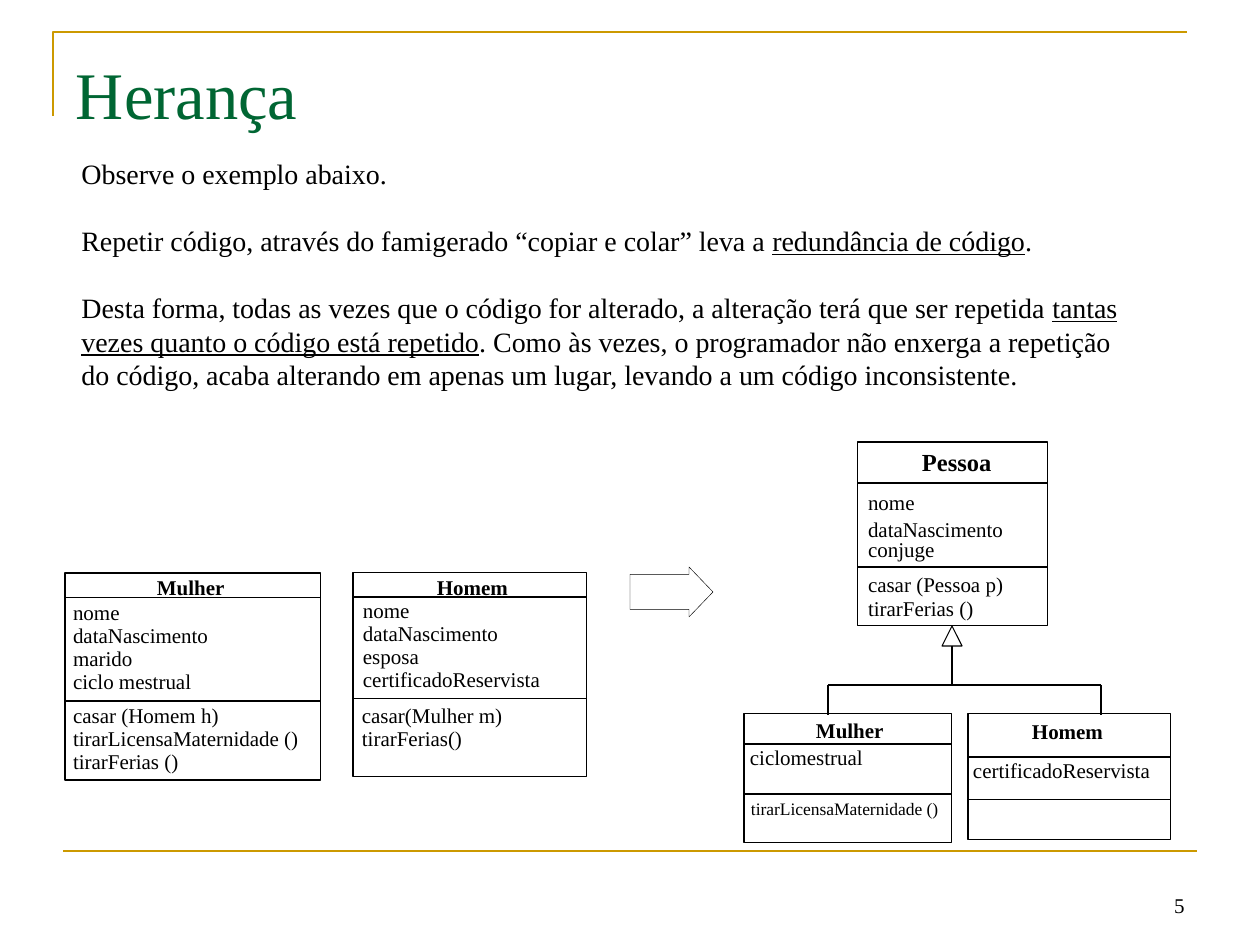
import pptx
import pptx.util
import pptx.dml.color
import pptx.enum.shapes
import pptx.enum.text
import pptx.oxml
import pptx.oxml.ns

HUES = {"ink": "000000", "gold": "CC9900", "green": "006633", "paper": "FFFFFF"}
FACE = "Times New Roman"
KIND = pptx.enum.shapes.MSO_SHAPE
ANCHOR = pptx.enum.text.MSO_ANCHOR
ALIGN = pptx.enum.text.PP_ALIGN

BODY = [
    [("Observe o exemplo abaixo.", False)],
    [("Repetir código, através do famigerado “copiar e colar” leva a ", False),
     ("redundância de código", True), (".", False)],
    [("Desta forma, todas as vezes que o código for alterado, a alteração terá "
      "que ser repetida ", False),
     ("tantas vezes quanto o código está repetido", True),
     (". Como às vezes, o programador não enxerga a repetição do código, acaba "
      "alterando em apenas um lugar, levando a um código inconsistente.", False)],
]


def px(num):
    """Turn px into EMU."""
    return pptx.util.Emu(round(num * 914400 / 126))


def hue(name):
    """Look up a colour."""
    return pptx.dml.color.RGBColor.from_string(HUES[name])


def style(font, size, name="ink", bold=False):
    """Set face, size, colour and weight."""
    font.name = FACE
    font.size = pptx.util.Pt(size)
    font.color.rgb = hue(name)
    font.bold = bold


def pen(item, name, width):
    """Set the outline."""
    item.line.color.rgb = hue(name)
    item.line.width = pptx.util.Pt(width)


def inset(frame, left, top, right, low):
    """Set the margins of a text frame."""
    frame.margin_left, frame.margin_top = px(left), px(top)
    frame.margin_right, frame.margin_bottom = px(right), px(low)


def rule(shapes, x1, y1, x2, y2, name="ink", width=0.62):
    """Draw a straight line."""
    line = shapes.add_connector(
        pptx.enum.shapes.MSO_CONNECTOR.STRAIGHT, px(x1), px(y1), px(x2), px(y2))
    pen(line, name, width)
    props = line._element.spPr
    props.append(pptx.oxml.parse_xml(
        "<a:effectLst %s/>" % pptx.oxml.ns.nsdecls("a")))


def shape(shapes, kind, x, y, w, h, width=0.62):
    """Draw a white preset shape with a thin black outline."""
    item = shapes.add_shape(kind, px(x), px(y), px(w), px(h))
    item.shadow.inherit = False
    item.fill.solid()
    item.fill.fore_color.rgb = hue("paper")
    pen(item, "ink", width)
    return item


def field(shapes, x, y, w, h):
    """Add a wrapping text box and return its frame."""
    frame = shapes.add_textbox(px(x), px(y), px(w), px(h)).text_frame
    frame.word_wrap = True
    return frame


def label(shapes, x, y, w, text, size=12, bold=False):
    """Write one tight line of text."""
    frame = field(shapes, x, y, w, size * 2)
    inset(frame, 0, 0, 0, 0)
    frame.text = text
    style(frame.paragraphs[0].runs[0].font, size, bold=bold)


def entity(shapes, box, cuts, head, parts):
    """Draw a class box: its dividers, its name and its stacks of members."""
    x, y, w, h = box
    shape(shapes, KIND.RECTANGLE, x, y, w, h)
    for cut in cuts:
        rule(shapes, x, cut, x + w, cut)
    name, left, top, size = head
    label(shapes, left, top, x + w - left, name, size, True)
    for left, top, step, size, lines in parts:
        for row, text in enumerate(lines):
            label(shapes, left, top + row * step, x + w - left, text, size)


def frame_page(shapes):
    """Draw the gold corner and the bottom rule."""
    path = shapes.build_freeform(px(53), px(116), 1.0)
    path.add_line_segments([(px(53), px(32)), (px(1187), px(32))], close=False)
    edge = path.convert_to_shape()
    edge.shadow.inherit = False
    edge.fill.background()
    pen(edge, "gold", 1.5)
    rule(shapes, 63, 851, 1197, 851, "gold", 1.5)


def title(slide, text):
    """Place and format the title."""
    item = slide.shapes.title
    item.left, item.top, item.width, item.height = px(63), px(38), px(1134), px(81)
    frame = item.text_frame
    frame.text = text
    frame.auto_size = pptx.enum.text.MSO_AUTO_SIZE.NONE
    frame.vertical_anchor = ANCHOR.TOP
    inset(frame, 13, 15, 13, 0)
    frame.paragraphs[0].alignment = ALIGN.LEFT
    style(frame.paragraphs[0].runs[0].font, 38, "green")


def body(shapes):
    """Write the paragraphs of explanation."""
    frame = field(shapes, 69, 150, 1066, 248)
    for num, parts in enumerate(BODY):
        para = frame.add_paragraph() if num else frame.paragraphs[0]
        para.line_spacing = pptx.util.Pt(19.2)
        if num:
            para.space_before = pptx.util.Pt(19.2)
        for text, under in parts:
            run = para.add_run()
            run.text = text
            style(run.font, 16)
            run.font.underline = under


def number(shapes, text):
    """Write the page number."""
    frame = field(shapes, 903, 861, 294, 63)
    frame.vertical_anchor = ANCHOR.BOTTOM
    frame.text = text
    frame.paragraphs[0].alignment = ALIGN.RIGHT
    style(frame.paragraphs[0].runs[0].font, 12)


def before(shapes):
    """Draw the two classes that repeat code."""
    entity(shapes.add_group_shape().shapes, (65, 573, 256, 207), (598, 701),
           ("Mulher", 157, 575, 12), [
               (73, 600, 23, 12,
                ["nome", "dataNascimento", "marido", "ciclo mestrual"]),
               (73, 703, 23, 12,
                ["casar (Homem h)", "tirarLicensaMaternidade ()", "tirarFerias ()"])])
    entity(shapes.add_group_shape().shapes, (353, 573, 234, 204), (597, 699),
           ("Homem", 437, 575, 12), [
               (363, 598, 23, 12,
                ["nome", "dataNascimento", "esposa", "certificadoReservista"]),
               (362, 703, 23, 12, ["casar(Mulher m)", "tirarFerias()"])])


def after(shapes):
    """Draw the parent class, its two children and the links."""
    tree = shapes.add_group_shape().shapes
    entity(tree, (858, 442, 190, 184), (483, 567), ("Pessoa", 922, 447, 14), [
        (868, 490, 0, 12, ["nome"]),
        (868, 517, 20, 12, ["dataNascimento", "conjuge"]),
        (868, 572, 24, 12, ["casar (Pessoa p)", "tirarFerias ()"])])
    entity(tree, (744, 714, 208, 129), (744, 794), ("Mulher", 816, 718, 12), [
        (750, 745, 0, 12, ["ciclomestrual"]),
        (751, 798, 0, 10, ["tirarLicensaMaternidade ()"])])
    entity(tree, (968, 714, 203, 126), (757, 800), ("Homem", 1032, 719, 12), [
        (973, 758, 0, 12, ["certificadoReservista"])])
    shape(tree, KIND.ISOSCELES_TRIANGLE, 942, 626, 20, 20).fill.background()
    for ends in [(828, 685, 1101, 685), (828, 685, 828, 715),
                 (1101, 685, 1101, 715), (952, 646, 952, 685)]:
        rule(tree, *ends, width=0.75)


def main():
    """Build the slide and save it."""
    deck = pptx.Presentation()
    deck.slide_width, deck.slide_height = px(1260), px(945)
    slide = deck.slides.add_slide(deck.slide_layouts[5])
    shapes = slide.shapes
    frame_page(shapes)
    number(shapes, "5")
    title(slide, "Herança")
    body(shapes)
    before(shapes)
    arrow = shape(shapes, KIND.RIGHT_ARROW, 630, 567, 83, 50, 0.25)
    arrow.adjustments[0], arrow.adjustments[1] = 0.7, 0.48
    after(shapes)
    deck.save("out.pptx")


if __name__ == "__main__":
    main()
